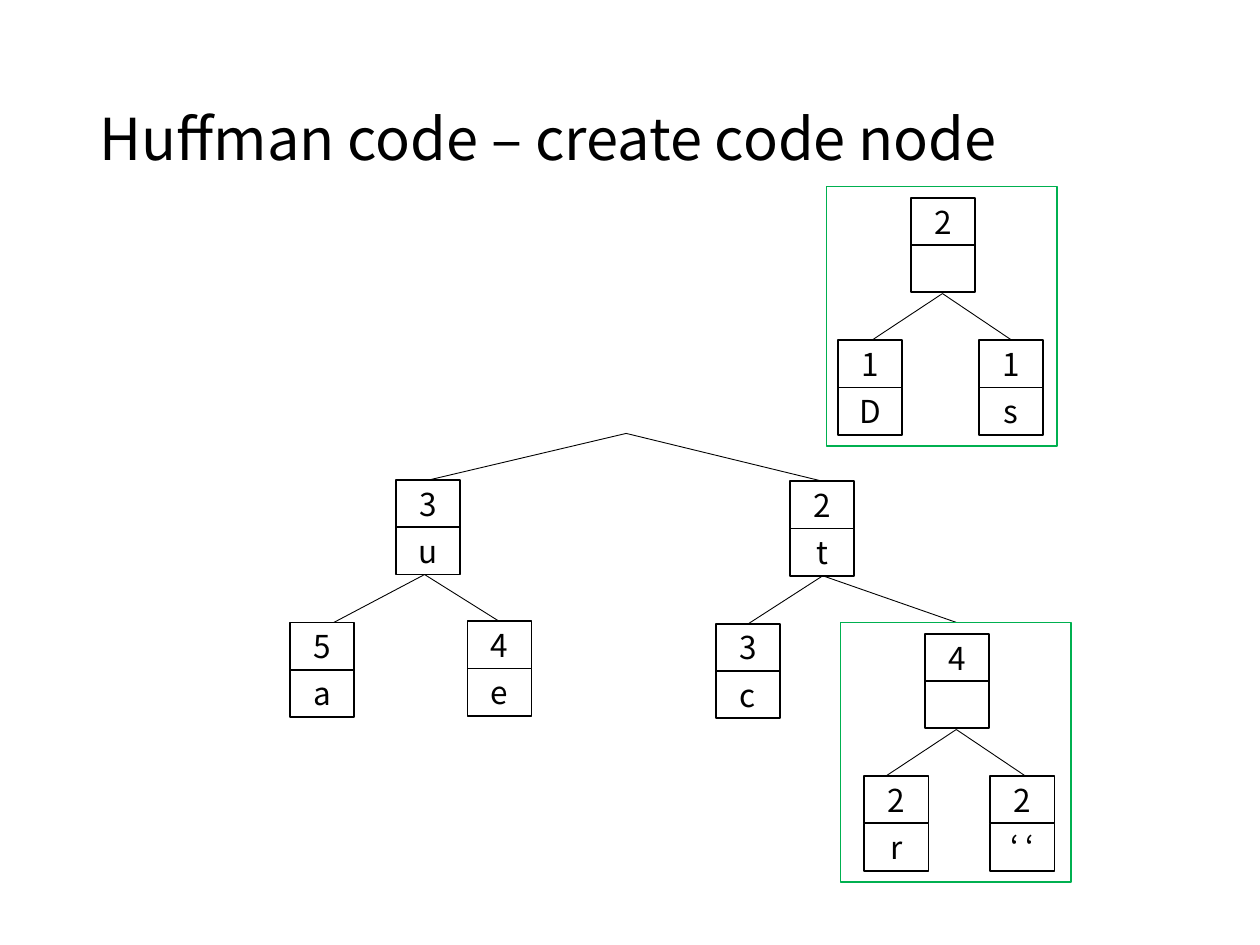
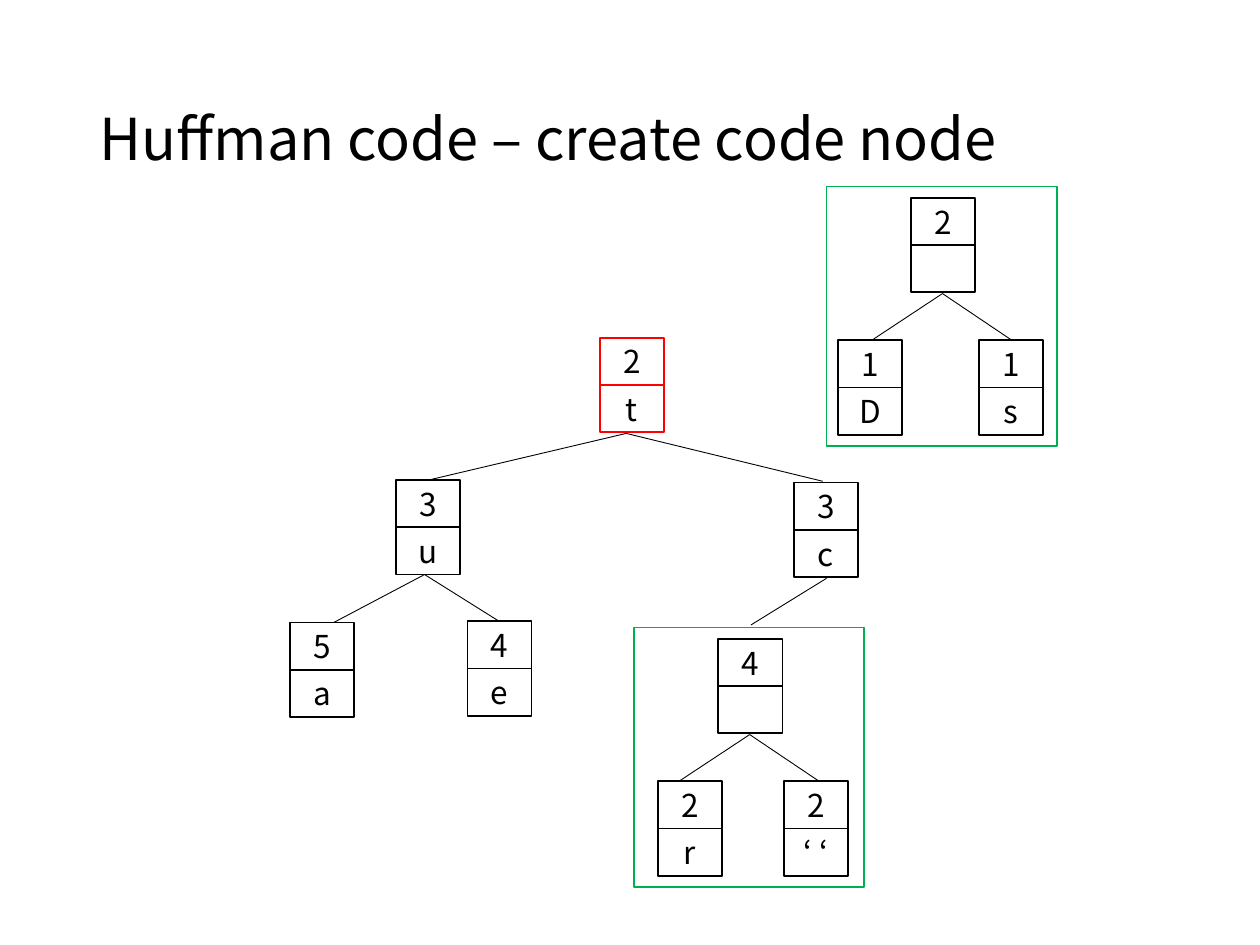
from pptx import Presentation
from pptx.dml.color import RGBColor
from pptx.enum.shapes import MSO_CONNECTOR as Connector, MSO_SHAPE as Shape
from pptx.enum.text import MSO_ANCHOR as Anchor, PP_ALIGN as Align
from pptx.oxml.ns import qn
from pptx.util import Inches, Pt
from lxml.etree import SubElement

BLACK = RGBColor(0x00, 0x00, 0x00)
WHITE = RGBColor(0xFF, 0xFF, 0xFF)
GREEN = RGBColor(0x00, 0xB0, 0x50)
RED = RGBColor(0xFF, 0x00, 0x00)

FONT = "Noto Sans CJK KR"
TITLE = "Huffman code – create code node"

# The slide is a grid of 100 columns by 75 rows; all lengths below are in grid units.
COLUMNS, ROWS = 100, 75
UNIT = Inches(0.1)
CELL_WIDTH, CELL_HEIGHT = 5.1, 3.75
FRAME_WIDTH, FRAME_HEIGHT = 18.3, 20.6
ROOT_FORK = (49.7, 34.4)


def grid(*lengths):
    return [round(length * UNIT) for length in lengths]


def style_text(paragraph, text, size):
    paragraph.text = text
    paragraph.font.name = FONT
    paragraph.font.size = Pt(size)
    paragraph.font.color.rgb = BLACK


def add_title(page):
    box = page.shapes.add_textbox(*grid(6.9, 4, 86.2, 14.5))
    box.text_frame.word_wrap = True
    box.text_frame.vertical_anchor = Anchor.MIDDLE
    para = box.text_frame.paragraphs[0]
    para.line_spacing = 0.9
    style_text(para, TITLE, 33)


def add_outline(shapes, left, top, width, height, color):
    """Add an unfilled rectangle with a thin coloured border."""
    box = shapes.add_shape(Shape.RECTANGLE, *grid(left, top, width, height))
    box.shadow.inherit = False
    box.fill.background()
    box.line.color.rgb = color
    box.line.width = Pt(1)
    return box


def add_cell(shapes, left, top, text, color):
    cell = add_outline(shapes, left, top, CELL_WIDTH, CELL_HEIGHT, color)
    cell.fill.solid()
    cell.fill.fore_color.rgb = WHITE
    if text:
        frame = cell.text_frame
        frame.margin_left = frame.margin_right = 0
        frame.vertical_anchor = Anchor.MIDDLE
        para = frame.paragraphs[0]
        para.alignment = Align.CENTER
        style_text(para, text, 18)


def add_node(shapes, left, top, count, letter="", color=BLACK):
    """Stack the count above the letter in one group."""
    node = shapes.add_group_shape()
    for row, text in enumerate((count, letter)):
        add_cell(node.shapes, left, top + row * CELL_HEIGHT, text, color)


def add_edges(shapes, parent, *children):
    for child in children:
        edge = shapes.add_connector(Connector.STRAIGHT, *grid(*parent, *child))
        edge.line.color.rgb = BLACK
        edge.line.width = Pt(0.5)
        SubElement(edge._element.spPr, qn("a:effectLst"))


def add_code_node(page, left, top, count, leaves):
    """Frame a small tree; each leaf is its offset, count and letter."""
    shapes = page.shapes.add_group_shape().shapes
    leaf_top = top + 12.2
    for offset, leaf_count, letter in leaves:
        add_node(shapes, left + offset, leaf_top, leaf_count, letter)
    add_node(shapes, left + 6.7, top + 0.9, count)
    add_edges(shapes, (left + 9.2, top + 8.5),
              (left + 3.6, leaf_top), (left + 14.7, leaf_top))
    add_outline(shapes, left, top, FRAME_WIDTH, FRAME_HEIGHT, GREEN)


def add_space_code_node(page, left, top):
    add_code_node(page, left, top, "4", [(1.9, "2", "r"), (11.9, "2", "‘ ‘")])


def add_tree_page(deck):
    """Add a page with the title, the left branch and the D/s code node."""
    page = deck.slides.add_slide(deck.slide_layouts[6])
    shapes = page.shapes
    add_title(page)
    add_edges(shapes, ROOT_FORK, (33.6, 38.2), (65.3, 38.2))
    add_node(shapes, 31.4, 38.1, "3", "u")
    add_edges(shapes, (33.7, 45.6), (26.5, 49.4), (39.6, 49.3))
    add_node(shapes, 23, 49.4, "5", "a")
    add_node(shapes, 37.1, 49.3, "4", "e")
    add_code_node(page, 65.6, 14.8, "2", [(0.9, "1", "D"), (12.1, "1", "s")])
    return page


def add_root_removed_page(deck):
    page = add_tree_page(deck)
    add_node(page.shapes, 62.7, 38.2, "2", "t")
    add_node(page.shapes, 56.8, 49.5, "3", "c")
    add_edges(page.shapes, (65.3, 45.7), (59.4, 49.5), (75.9, 49.4))
    add_space_code_node(page, 66.7, 49.4)


def add_root_replaced_page(deck):
    page = add_tree_page(deck)
    add_node(page.shapes, 47.6, 26.8, "2", "t", RED)
    add_node(page.shapes, 63, 38.3, "3", "c")
    add_edges(page.shapes, (65.6, 45.9), (59.6, 49.6))
    add_space_code_node(page, 50.3, 49.8)


def main():
    deck = Presentation()
    deck.slide_width, deck.slide_height = grid(COLUMNS, ROWS)
    add_root_removed_page(deck)
    add_root_replaced_page(deck)
    deck.save("out.pptx")


if __name__ == "__main__":
    main()
